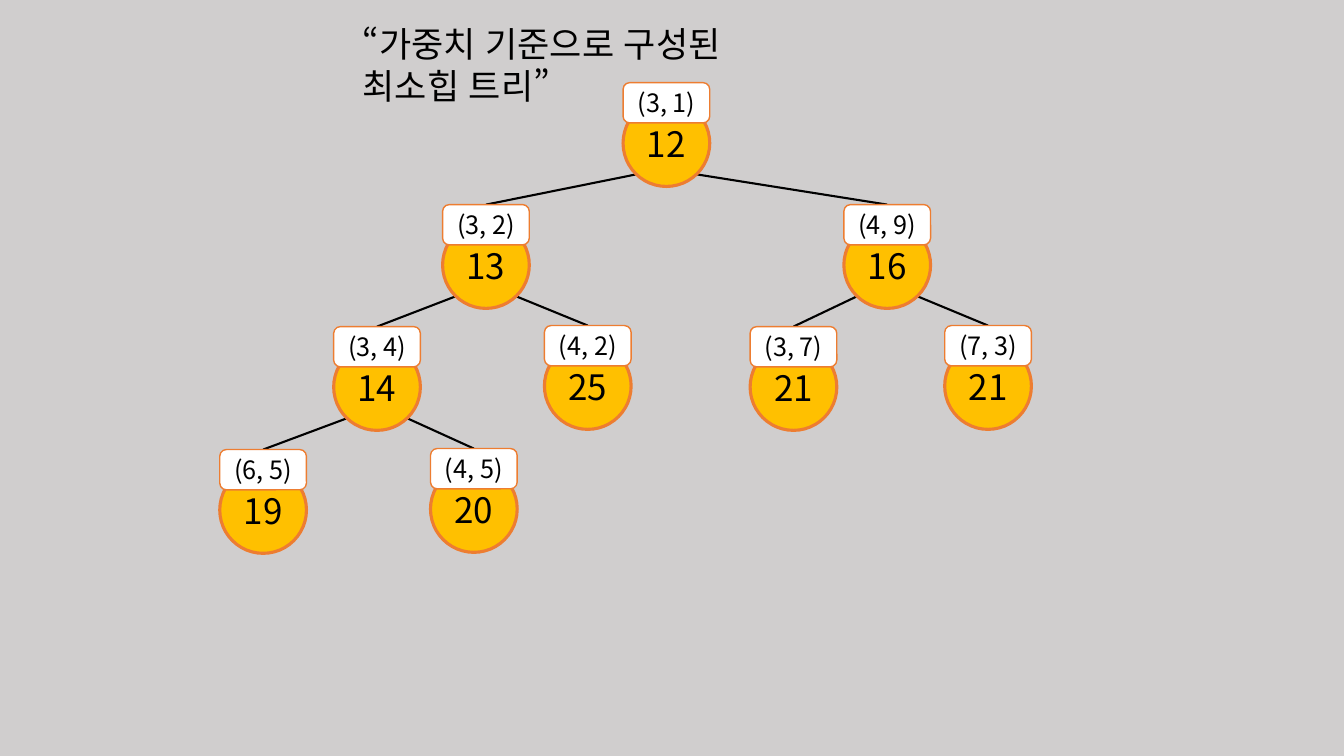
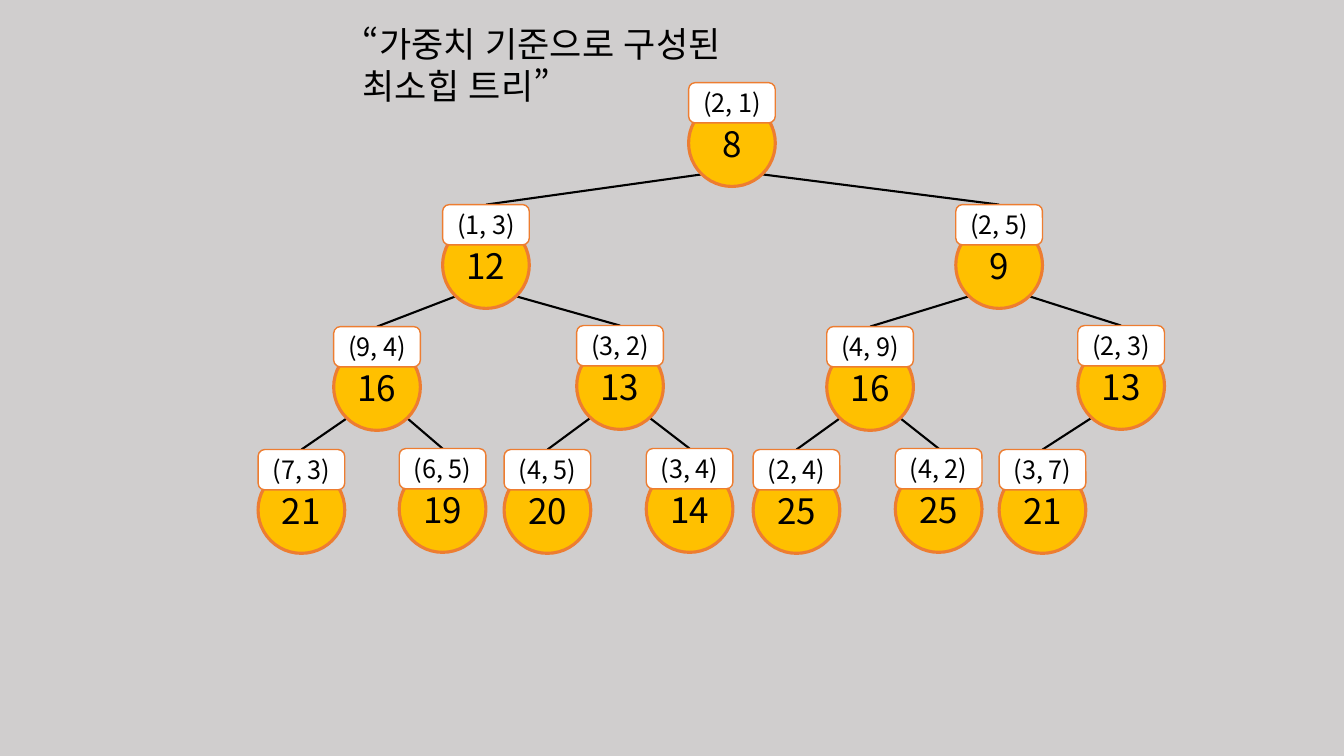
from lxml.etree import SubElement
from pptx import Presentation
from pptx.dml.color import RGBColor
from pptx.enum.lang import MSO_LANGUAGE_ID
from pptx.enum.shapes import MSO_CONNECTOR, MSO_SHAPE
from pptx.enum.text import MSO_ANCHOR, MSO_AUTO_SIZE, PP_ALIGN
from pptx.oxml.ns import qn
from pptx.util import Inches, Pt

# Shared style
GRAY = RGBColor(0xD0, 0xCE, 0xCE)
BLACK = RGBColor(0, 0, 0)
WHITE = RGBColor(0xFF, 0xFF, 0xFF)
GOLD = RGBColor(0xFF, 0xC0, 0x00)
ORANGE = RGBColor(0xED, 0x7D, 0x31)
FONT = "Noto Sans CJK KR"
TITLE = "“가중치 기준으로 구성된 최소힙 트리”"

# Node geometry in inches
NODE = 0.86
EDGE_H = 0.4
CIRCLE_DROP = 0.17
ROW_TOPS = [0.82, 2.03, 3.24, 4.46]
EXIT_X = 0.3
EXIT_Y = 0.91

# Heaps in level order: (left, weight, edge)
FIRST_HEAP = [
    (6.18, 12, (3, 1)),
    (4.39, 13, (3, 2)), (8.37, 16, (4, 9)),
    (3.31, 14, (3, 4)), (5.4, 25, (4, 2)),
    (7.44, 21, (3, 7)), (9.37, 21, (7, 3)),
    (2.18, 19, (6, 5)), (4.27, 20, (4, 5)),
]
SECOND_HEAP = [
    (6.83, 8, (2, 1)),
    (4.39, 12, (1, 3)), (9.48, 9, (2, 5)),
    (3.31, 16, (9, 4)), (5.72, 13, (3, 2)),
    (8.2, 16, (4, 9)), (10.69, 13, (2, 3)),
    (2.56, 21, (7, 3)), (3.96, 19, (6, 5)),
    (5, 20, (4, 5)), (6.41, 14, (3, 4)),
    (7.47, 25, (2, 4)), (8.88, 25, (4, 2)),
    (9.91, 21, (3, 7)),
]


def add_run(p, text, size):
    r = p.add_run()
    r.text = text
    r.font.size = Pt(size)
    r.font.color.rgb = BLACK
    r.font.name = FONT
    r.font.language_id = MSO_LANGUAGE_ID.KOREAN
    SubElement(r.font._element, qn("a:ea"), typeface=FONT)


def add_title(s):
    sp = s.shapes.add_textbox(Inches(3.5), Inches(0.17), Inches(4.76), Inches(0.52))
    tf = sp.text_frame
    tf.word_wrap = True
    tf.auto_size = MSO_AUTO_SIZE.SHAPE_TO_FIT_TEXT
    add_run(tf.paragraphs[0], TITLE, 25)


def add_label(shapes, kind, left, top, height, fill, line_width, text, size):
    sp = shapes.add_shape(kind, Inches(left), Inches(top), Inches(NODE), Inches(height))
    sp.shadow.inherit = False
    sp.fill.solid()
    sp.fill.fore_color.rgb = fill
    sp.line.color.rgb = ORANGE
    sp.line.width = Pt(line_width)
    tf = sp.text_frame
    tf.margin_left = tf.margin_right = 0
    tf.vertical_anchor = MSO_ANCHOR.MIDDLE
    p = tf.paragraphs[0]
    p.alignment = PP_ALIGN.CENTER
    add_run(p, text, size)


def add_node(s, left, top, weight, edge):
    shapes = s.shapes.add_group_shape().shapes
    add_label(shapes, MSO_SHAPE.OVAL, left, top + CIRCLE_DROP, NODE,
              GOLD, 2.25, str(weight), 25)
    add_label(shapes, MSO_SHAPE.ROUNDED_RECTANGLE, left, top, EDGE_H,
              WHITE, 1, str(edge), 18)


def add_branch(s, x1, y1, x2, y2):
    line = s.shapes.add_connector(MSO_CONNECTOR.STRAIGHT,
                                  Inches(x1), Inches(y1), Inches(x2), Inches(y2))
    line.line.color.rgb = BLACK
    line.line.width = Pt(1.5)
    SubElement(line._element.spPr, qn("a:effectLst"))


def row_of(number):
    return number.bit_length() - 1


def top_of(number):
    """Right children in the lower rows sit slightly higher."""
    row = row_of(number)
    lift = 0.01 if row > 1 and number % 2 else 0
    return ROW_TOPS[row] - lift


def add_heap(s, heap):
    lefts = [left for left, _, _ in heap]
    # Branches lie behind the nodes; node n has parent n // 2
    for number in range(2, len(heap) + 1):
        parent = number // 2
        side = EXIT_X if number % 2 else -EXIT_X
        add_branch(s, lefts[parent - 1] + NODE / 2 + side,
                   ROW_TOPS[row_of(parent)] + EXIT_Y,
                   lefts[number - 1] + NODE / 2, top_of(number))
    for number, (left, weight, edge) in enumerate(heap, 1):
        add_node(s, left, top_of(number), weight, edge)


def main():
    prs = Presentation()
    prs.slide_width = Inches(13.33)
    prs.slide_height = Inches(7.5)
    background = prs.slide_master.background.fill
    background.solid()
    background.fore_color.rgb = GRAY
    for heap in (FIRST_HEAP, SECOND_HEAP):
        s = prs.slides.add_slide(prs.slide_layouts[6])
        add_title(s)
        add_heap(s, heap)
    prs.save("out.pptx")


if __name__ == "__main__":
    main()
